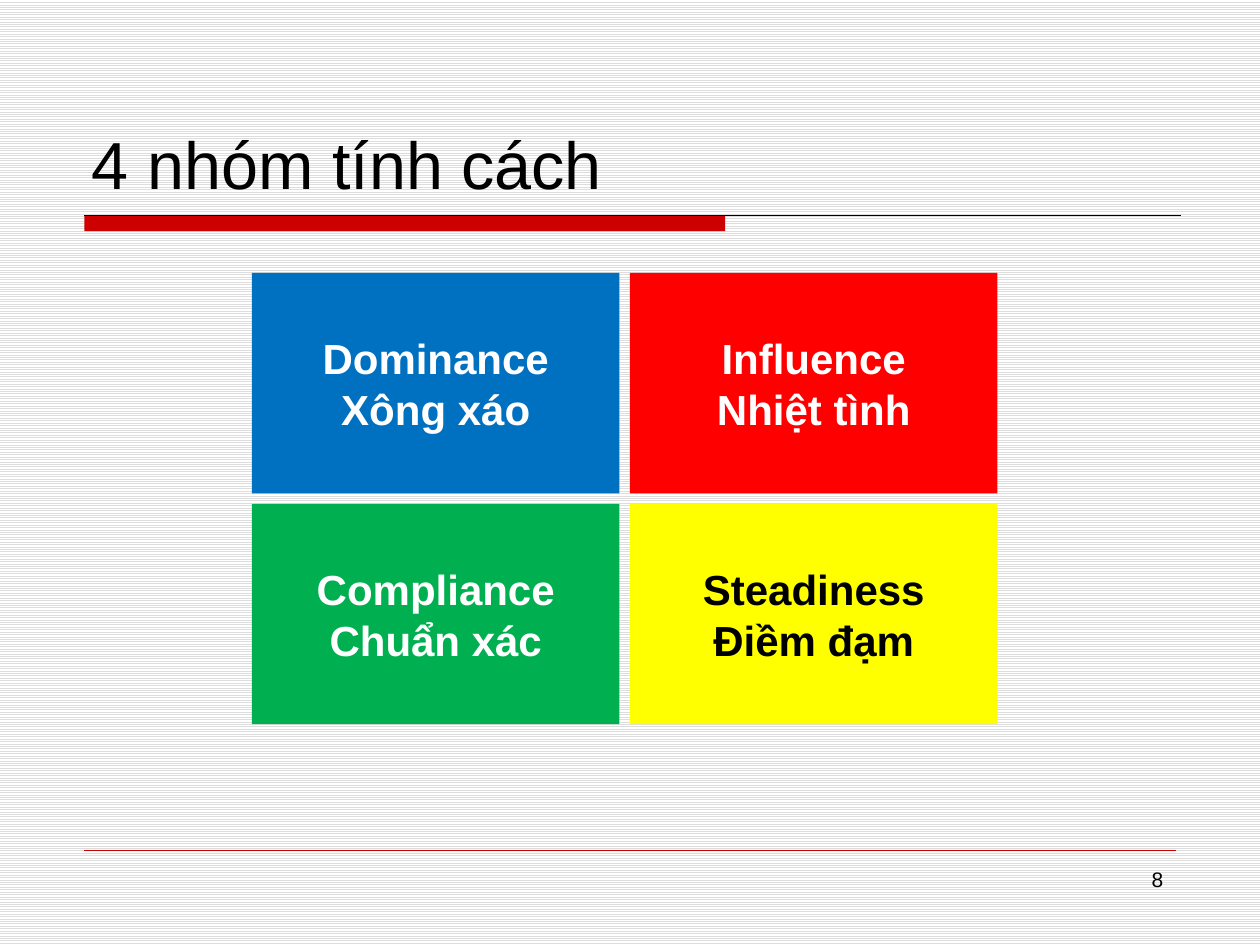
from lxml import etree
from pptx import Presentation
from pptx.dml.color import RGBColor
from pptx.enum.dml import MSO_PATTERN
from pptx.enum.shapes import MSO_CONNECTOR, MSO_SHAPE
from pptx.enum.text import MSO_ANCHOR, MSO_AUTO_SIZE, PP_ALIGN
from pptx.oxml.ns import qn
from pptx.util import Cm, Pt

STRIPES = MSO_PATTERN.LIGHT_HORIZONTAL
STRAIGHT = MSO_CONNECTOR.STRAIGHT
RECTANGLE = MSO_SHAPE.RECTANGLE
TOP, MIDDLE, BOTTOM = MSO_ANCHOR.TOP, MSO_ANCHOR.MIDDLE, MSO_ANCHOR.BOTTOM
LEFT, CENTER, RIGHT = PP_ALIGN.LEFT, PP_ALIGN.CENTER, PP_ALIGN.RIGHT
NO_AUTOFIT = MSO_AUTO_SIZE.NONE

FONT = "Arial"
RED, BLACK, WHITE = "CC0000", "000000", "FFFFFF"
GAP = 0.21
GROUPS = [
    [("Dominance\nXông xáo", "0070C0", WHITE), ("Influence\nNhiệt tình", "FF0000", WHITE)],
    [("Compliance\nChuẩn xác", "00B050", WHITE), ("Steadiness\nĐiềm đạm", "FFFF00", BLACK)],
]


def rgb(value):
    """Turn a hex string into a colour."""
    return RGBColor.from_string(value)


def write(shape, text, size, color, align, anchor, bold=False):
    """Fill a shape with evenly formatted text."""
    frame = shape.text_frame
    frame.text = text
    frame.word_wrap = True
    frame.auto_size = NO_AUTOFIT
    frame.vertical_anchor = anchor
    for paragraph in frame.paragraphs:
        paragraph.alignment = align
        for run in paragraph.runs:
            run.font.name = FONT
            run.font.size = Pt(size)
            run.font.bold = bold
            run.font.color.rgb = rgb(color)


def add_block(slide, left, top, width, height, color):
    """Add a plain filled rectangle."""
    block = slide.shapes.add_shape(RECTANGLE, Cm(left), Cm(top), Cm(width), Cm(height))
    block.shadow.inherit = False
    block.fill.solid()
    block.fill.fore_color.rgb = rgb(color)
    block.line.fill.background()
    return block


def add_rule(slide, left, top, width, color, weight):
    """Add a thin horizontal line."""
    rule = slide.shapes.add_connector(STRAIGHT, Cm(left), Cm(top), Cm(left + width), Cm(top))
    rule.line.color.rgb = rgb(color)
    rule.line.width = Pt(weight)
    etree.SubElement(rule._element.spPr, qn("a:effectLst"))


def add_header(slide, left, top, width, height):
    """Place the title above its red bar and thin rule."""
    title = slide.shapes.title
    title.left, title.top, title.width, title.height = Cm(left), Cm(top), Cm(width), Cm(height)
    write(title, "4 nhóm tính cách", 38, BLACK, LEFT, BOTTOM)
    bar_left, bar_top = left + 0.1, top + height + 0.12
    add_block(slide, bar_left, bar_top, 12.92, 0.32, RED)
    add_rule(slide, bar_left, bar_top, 22.1, BLACK, 0.75)


def add_group_grid(slide, left, top, width, height):
    """Lay out the personality groups as equal tiles."""
    tile_width = (width - GAP) / 2
    tile_height = (height - GAP) / 2
    for row, groups in enumerate(GROUPS):
        for column, (label, fill, color) in enumerate(groups):
            tile = add_block(slide, left + column * (tile_width + GAP),
                             top + row * (tile_height + GAP), tile_width, tile_height, fill)
            write(tile, label, 24, color, CENTER, MIDDLE, bold=True)


def add_footer(slide, left, top, width, height):
    """Place the footer rule and the page number below its right end."""
    add_rule(slide, left, top, width, RED, 0.25)
    number_width = 5.5
    number = slide.shapes.add_textbox(Cm(left + width - number_width), Cm(top + 0.21),
                                      Cm(number_width), Cm(height - 0.21))
    write(number, "8", 12, BLACK, RIGHT, TOP)


def main():
    """Build and save the slide."""
    presentation = Presentation()
    presentation.slide_width, presentation.slide_height = Cm(25.4), Cm(19.05)
    slide = presentation.slides.add_slide(presentation.slide_layouts[5])
    background = slide.background.fill
    background.patterned()
    background.pattern = STRIPES
    background.fore_color.rgb = rgb("DDDDDD")
    background.back_color.rgb = rgb(WHITE)
    add_header(slide, 1.6, 0.84, 22.22, 3.38)
    add_group_grid(slide, 5.08, 5.5, 15.03, 9.1)
    add_footer(slide, 1.7, 17.14, 22, 1.53)
    presentation.save("out.pptx")


if __name__ == "__main__":
    main()
